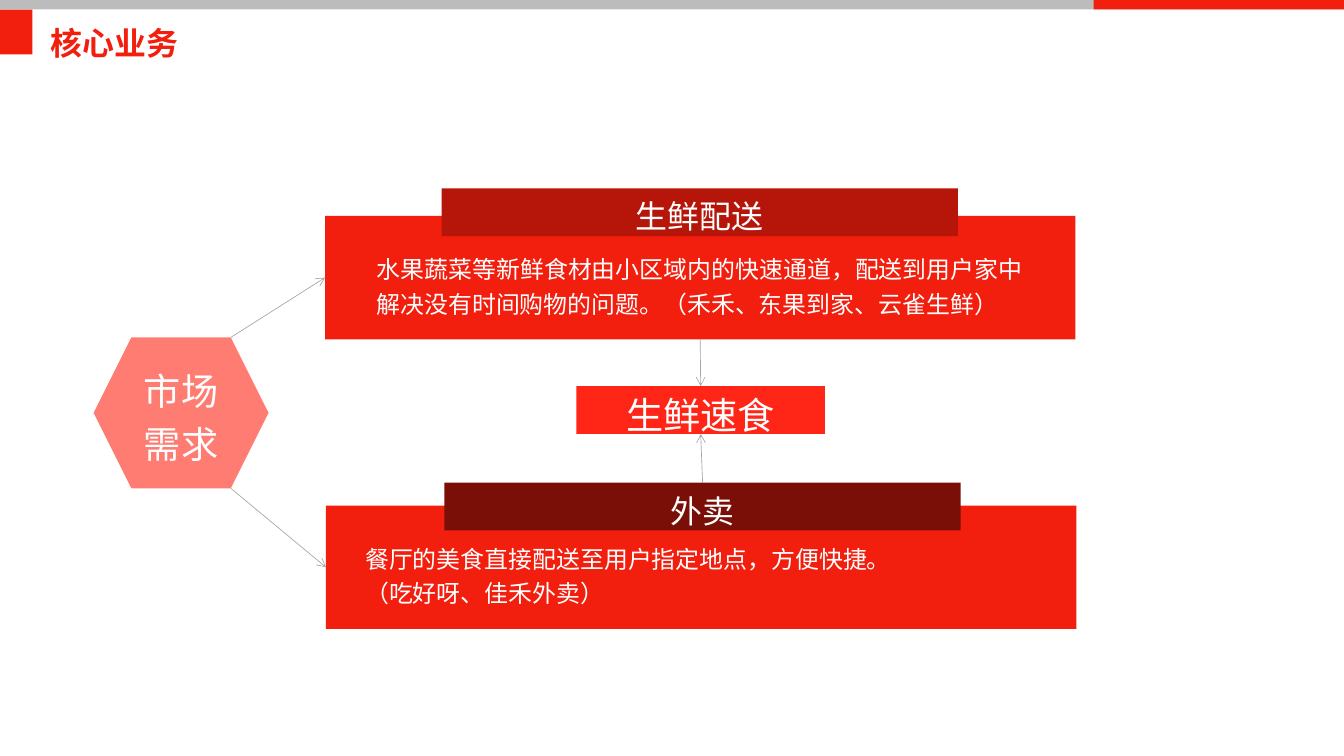
import pptx
import pptx.util
import pptx.dml.color
import pptx.enum.shapes
import pptx.enum.text
import pptx.oxml
import pptx.oxml.ns

Inches = pptx.util.Inches
SHAPE = pptx.enum.shapes.MSO_SHAPE
ALIGN = pptx.enum.text.PP_ALIGN
ANCHOR = pptx.enum.text.MSO_ANCHOR
FIT = pptx.enum.text.MSO_AUTO_SIZE

COLORS = {
    "red": "F21E0E", "gray": "BCBCBC", "line": "A6A6A6", "white": "FFFFFF",
    "pink": "FF7C73", "core": "FF2517", "brick": "B6160A", "wine": "790F07",
}


def color(name):
    return pptx.dml.color.RGBColor.from_string(COLORS[name])


def apply(target, values):
    for key, value in values.items():
        setattr(target, key, value)


def write(shape, lines, size, align, anchor, space=1.2, face="Arial", ink="white", bold=False):
    frame = shape.text_frame
    apply(frame, {
        "text": "\n".join(lines), "word_wrap": True, "auto_size": FIT.NONE,
        "vertical_anchor": anchor,
        "margin_left": Inches(0.11), "margin_right": Inches(0.11),
        "margin_top": Inches(0.05), "margin_bottom": Inches(0.05),
    })
    for para in frame.paragraphs:
        apply(para, {"alignment": align, "line_spacing": space})
        for run in para.runs:
            apply(run.font, {"name": face, "size": pptx.util.Pt(size), "bold": bold})
            run.font.color.rgb = color(ink)


def block(slide, box, fill, kind=SHAPE.RECTANGLE):
    shape = slide.shapes.add_shape(kind, *map(Inches, box))
    shape.shadow.inherit = False
    shape.fill.solid()
    shape.fill.fore_color.rgb = color(fill)
    shape.line.fill.background()
    return shape


def label(slide, box, fill, text, size, kind=SHAPE.RECTANGLE):
    shape = block(slide, box, fill, kind)
    write(shape, [text], size, ALIGN.CENTER, ANCHOR.MIDDLE)
    return shape


def header(slide, box, text):
    left, top, width, height = box
    split = 11.44
    block(slide, (left, top, width, height), "gray")
    block(slide, (left + split, top, width - split, height), "red")
    block(slide, (left, top + height, 0.34, 0.47), "red")
    title = slide.shapes.title
    place = (left + 0.42, top, 3.54, 0.63)
    apply(title, dict(zip(("left", "top", "width", "height"), map(Inches, place))))
    write(title, [text], 24, ALIGN.LEFT, ANCHOR.TOP, 1.5, "Arial Narrow", "red", True)


def panel(slide, box, tag, fill, shift, lines, inset):
    left, top, width, height = box
    base = block(slide, box, "red")
    head = label(slide, (left + shift[0], top + shift[1], 5.4, 0.5), fill, tag, 24)
    note = slide.shapes.add_textbox(
        *map(Inches, (left + inset, top + 0.3, 6.98, 0.83)))
    write(note, lines, 18, ALIGN.JUSTIFY, ANCHOR.TOP)
    return base, head


def arrow(slide, end, site, start=None, point=(0, 0)):
    x, y = map(Inches, point)
    line = slide.shapes.add_connector(
        pptx.enum.shapes.MSO_CONNECTOR.STRAIGHT, x, y, x, y)
    if start:
        line.begin_connect(*start)
    line.end_connect(end, site)
    line.line.color.rgb = color("line")
    line.line.width = pptx.util.Pt(0.5)
    tail = pptx.oxml.parse_xml(
        "<a:tailEnd %s type='arrow'/>" % pptx.oxml.ns.nsdecls("a"))
    line.line._get_or_add_ln().append(tail)
    line._element.spPr.append(pptx.oxml.parse_xml(
        "<a:effectLst %s/>" % pptx.oxml.ns.nsdecls("a")))


def market(slide, box, targets):
    left, top, width, height = box
    label(slide, box, "pink", "市场需求", 28, SHAPE.HEXAGON)
    corner = left + width - height / 4
    for target, y in zip(targets, (top, top + height)):
        arrow(slide, target, 1, point=(corner, y))


def main():
    deck = pptx.Presentation()
    apply(deck, {"slide_width": Inches(14.06), "slide_height": Inches(7.91)})
    slide = deck.slides.add_slide(deck.slide_layouts[5])
    header(slide, (0, 0, 14.06, 0.1), "核心业务")
    fresh, _ = panel(
        slide, (3.4, 2.26, 7.85, 1.29), "生鲜配送", "brick", (1.22, -0.29),
        ["水果蔬菜等新鲜食材由小区域内的快速通道，配送到用户家中"
         "解决没有时间购物的问题。（禾禾、东果到家、云雀生鲜）"], 0.43)
    meal, head = panel(
        slide, (3.41, 5.29, 7.85, 1.29), "外卖", "wine", (1.24, -0.24),
        ["餐厅的美食直接配送至用户指定地点，方便快捷。", "（吃好呀、佳禾外卖）"], 0.3)
    core = label(slide, (6.03, 4.04, 2.6, 0.5), "core", "生鲜速食", 28)
    market(slide, (0.98, 3.53, 1.83, 1.58), (fresh, meal))
    arrow(slide, core, 0, (fresh, 2))
    arrow(slide, core, 2, (head, 0))
    deck.save("out.pptx")


if __name__ == "__main__":
    main()
